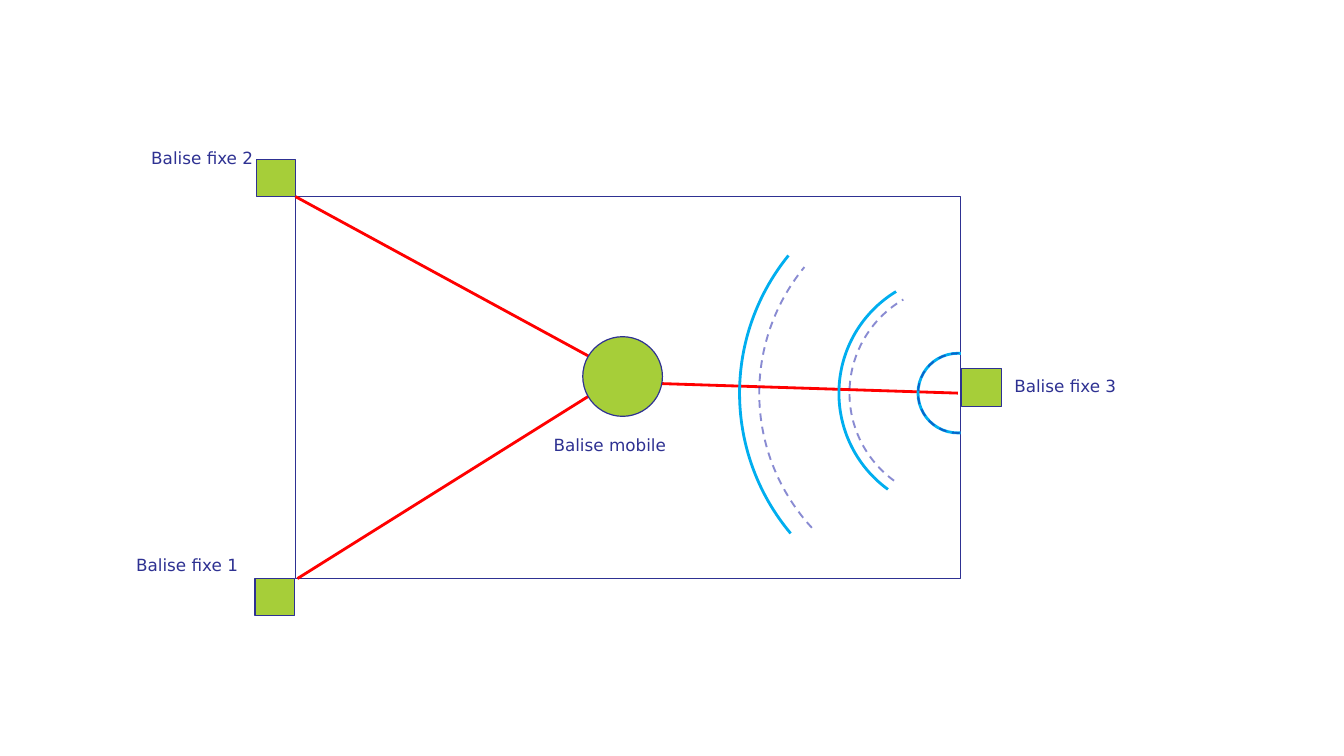
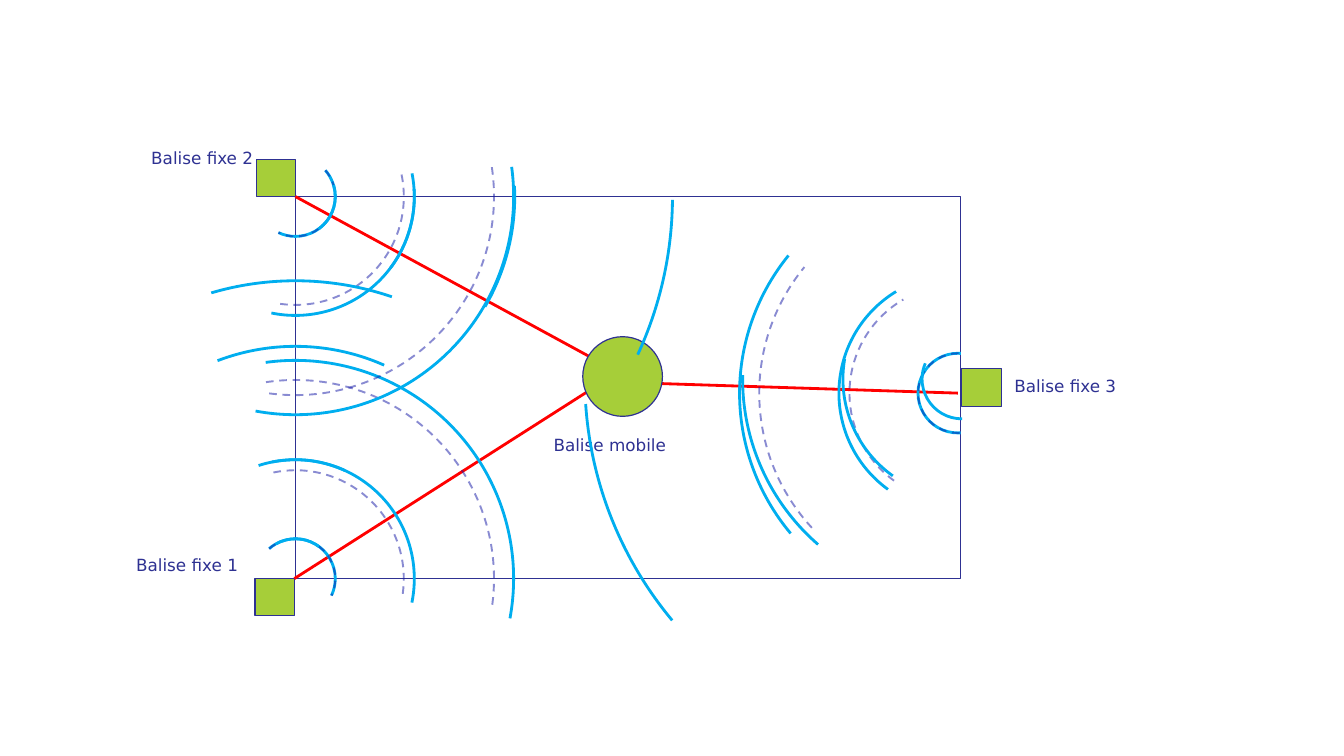
from lxml import etree
from pptx import Presentation
from pptx.dml.color import RGBColor
from pptx.enum import dml, shapes, text
from pptx.oxml.ns import qn
from pptx.util import Emu, Pt

PX = 9144
NAVY, GREEN, RED, CYAN, VIOLET = "2E3192", "A6CE39", "FF0000", "00AEEF", "1519A7"
FONT = "DejaVu Sans"

ROOM = (293, 195, 660, 379)
BEACONS = [(254, 158), (253, 574), (954, 366)]
BEACON_SIZE = (39, 37)
MOBILE = (578, 334, 79, 79)
LABELS = [
    ("Balise fixe 1", 135, 550, 118, 70),
    ("Balise fixe 2", 150, 147, 118, 70),
    ("Balise fixe 3", 1006, 373, 121, 20),
    ("Balise mobile", 549, 431, 142, 20),
]

SOURCE_1, SOURCE_2, SOURCE_3 = (293, 574), (293, 195), (950, 390)
LINK_2 = (SOURCE_2, (620, 373))
LINK_3 = (SOURCE_3, (639, 380))
LINKS_ONE_SOURCE = [((295, 574), (619, 371)), LINK_2, LINK_3]
LINKS_ALL_SOURCES = [((292, 574), (582, 389)), LINK_2, LINK_3]

# Each wave: diameter, start and end angle in degrees, dashed.
CORNER_WAVES = [
    (79, 318.7, 115.2, False), (79, 318.7, 115.2, True),
    (236, 348.8, 101.6, False), (215, 348.3, 100.1, True),
    (433, 352.2, 100.5, False), (394, 351.5, 98.8, True),
]
SIDE_WAVES = [
    (79, 266.1, 94.3, False), (79, 267.5, 95.5, True),
    (236, 306, 58.7, False), (215, 306.1, 59.8, True),
    (433, 320, 39.1, False), (394, 317.3, 39.4, True),
]
SIDE_FRONTS = [
    (79, 269.6, 23.2, False), (236, 305.5, 9.7, False),
    (435, 311, 1, False), (748, 320.2, 356.2, False),
]
TOP_FRONTS = [
    (79, 343.4, 54.4, False), (236, 356.2, 37, False),
    (435, 357.2, 30.2, False), (748, 0.5, 24.8, False),
]
BOTTOM_FRONTS = [(79, 351.5, 56.4, False), (236, 2.2, 44.5, False)]


def px(length):
    """Turn a length in px into EMU."""
    return Emu(round(length * PX))


def rgb(value):
    """Turn a hex string into a colour."""
    return RGBColor.from_string(value)


def set_line(line, color, width):
    """Give a line its colour and its width in points."""
    line.color.rgb = rgb(color)
    line.width = Pt(width)


def add_outline(parent, kind, bounds, color=NAVY, width=0.85, fill=None):
    """Add a preset shape with an outline and an optional fill."""
    shape = parent.add_shape(kind, *map(px, bounds))
    shape.shadow.inherit = False
    if fill:
        shape.fill.solid()
        shape.fill.fore_color.rgb = rgb(fill)
    else:
        shape.fill.background()
    set_line(shape.line, color, width)
    return shape


def add_label(page, wording, *bounds):
    """Add a caption without margins."""
    box = page.shapes.add_textbox(*map(px, bounds))
    frame = box.text_frame
    frame.word_wrap = True
    frame.auto_size = text.MSO_AUTO_SIZE.SHAPE_TO_FIT_TEXT
    frame.margin_left = frame.margin_right = frame.margin_top = frame.margin_bottom = 0
    para = frame.paragraphs[0]
    para.text = wording
    para.font.name = FONT
    para.font.size = Pt(12)
    para.font.color.rgb = rgb(NAVY)


def add_link(page, start, end):
    """Add a red line from a fixed beacon to the mobile one."""
    link = page.shapes.add_connector(
        shapes.MSO_CONNECTOR.STRAIGHT, *map(px, (*start, *end)))
    set_line(link.line, RED, 2)
    etree.SubElement(link._element.spPr, qn("a:effectLst"))


def add_wave(parent, center, turn, diameter, start, end, dashed):
    """Add one arc around a center, solid or dashed and half transparent."""
    left, top = (middle - diameter / 2 for middle in center)
    color, width = (VIOLET, 1.35) if dashed else (CYAN, 2)
    arc = add_outline(parent, shapes.MSO_SHAPE.ARC,
                      (left, top, diameter, diameter), color, width)
    arc.rotation = turn
    arc.adjustments[0] = start * 0.6
    arc.adjustments[1] = end * 0.6
    if dashed:
        arc.line.dash_style = dml.MSO_LINE.DASH
        tint = arc.line._ln.find(".//" + qn("a:srgbClr"))
        etree.SubElement(tint, qn("a:alpha"), val="50000")


def add_waves(page, center, turn, waves):
    """Add a group of arcs that share a center and a rotation."""
    group = page.shapes.add_group_shape()
    for wave in waves:
        add_wave(group.shapes, center, turn, *wave)


def add_room(deck, links):
    """Add a page with the room, the fixed beacons, the labels and the links."""
    page = deck.slides.add_slide(deck.slide_layouts[6])
    for label in LABELS:
        add_label(page, *label)
    add_outline(page.shapes, shapes.MSO_SHAPE.RECTANGLE, ROOM)
    for corner in BEACONS:
        add_outline(page.shapes, shapes.MSO_SHAPE.RECTANGLE,
                    corner + BEACON_SIZE, fill=GREEN)
    for link in links:
        add_link(page, *link)
    return page


def add_mobile(page):
    """Add the round mobile beacon."""
    add_outline(page.shapes, shapes.MSO_SHAPE.OVAL, MOBILE, fill=GREEN)


def add_one_source(deck):
    """Add the page where only beacon 3 emits."""
    page = add_room(deck, LINKS_ONE_SOURCE)
    add_waves(page, SOURCE_3, 180, SIDE_WAVES)
    add_mobile(page)


def add_all_sources(deck):
    """Add the page where all three beacons emit."""
    page = add_room(deck, LINKS_ALL_SOURCES)
    add_waves(page, SOURCE_1, 270, CORNER_WAVES)
    add_waves(page, SOURCE_2, 0, CORNER_WAVES)
    add_waves(page, SOURCE_3, 180, SIDE_WAVES)
    add_waves(page, (954, 376), 180, SIDE_FRONTS)
    add_mobile(page)
    add_waves(page, SOURCE_2, 0, TOP_FRONTS)
    add_waves(page, SOURCE_1, 249.8, BOTTOM_FRONTS)
    add_waves(page, (293, 560), 249.8, [(433, 359.3, 44.2, False)])
    add_waves(page, SOURCE_1, 270, [(591, 343.6, 18.9, False)])


def main():
    """Build and save the deck."""
    deck = Presentation()
    deck.slide_width, deck.slide_height = px(1333), px(750)
    add_one_source(deck)
    add_all_sources(deck)
    deck.save("out.pptx")


if __name__ == "__main__":
    main()
